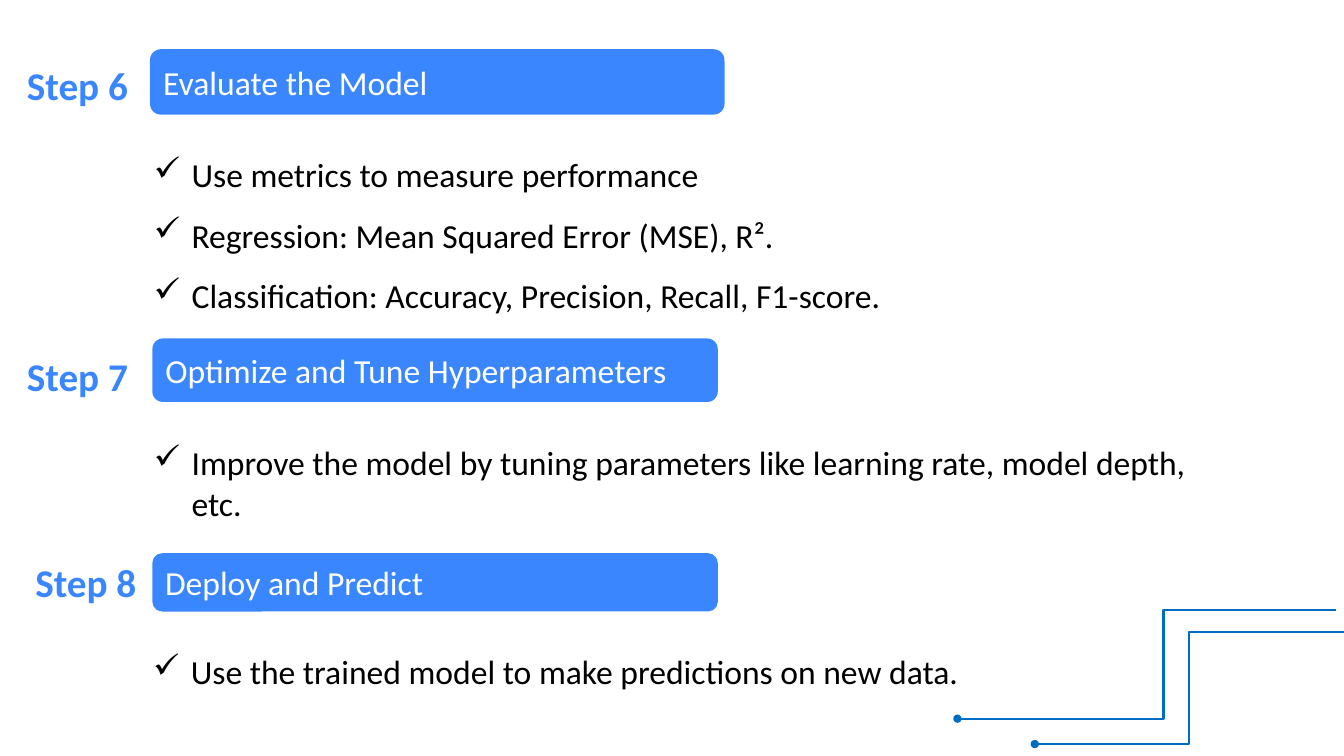
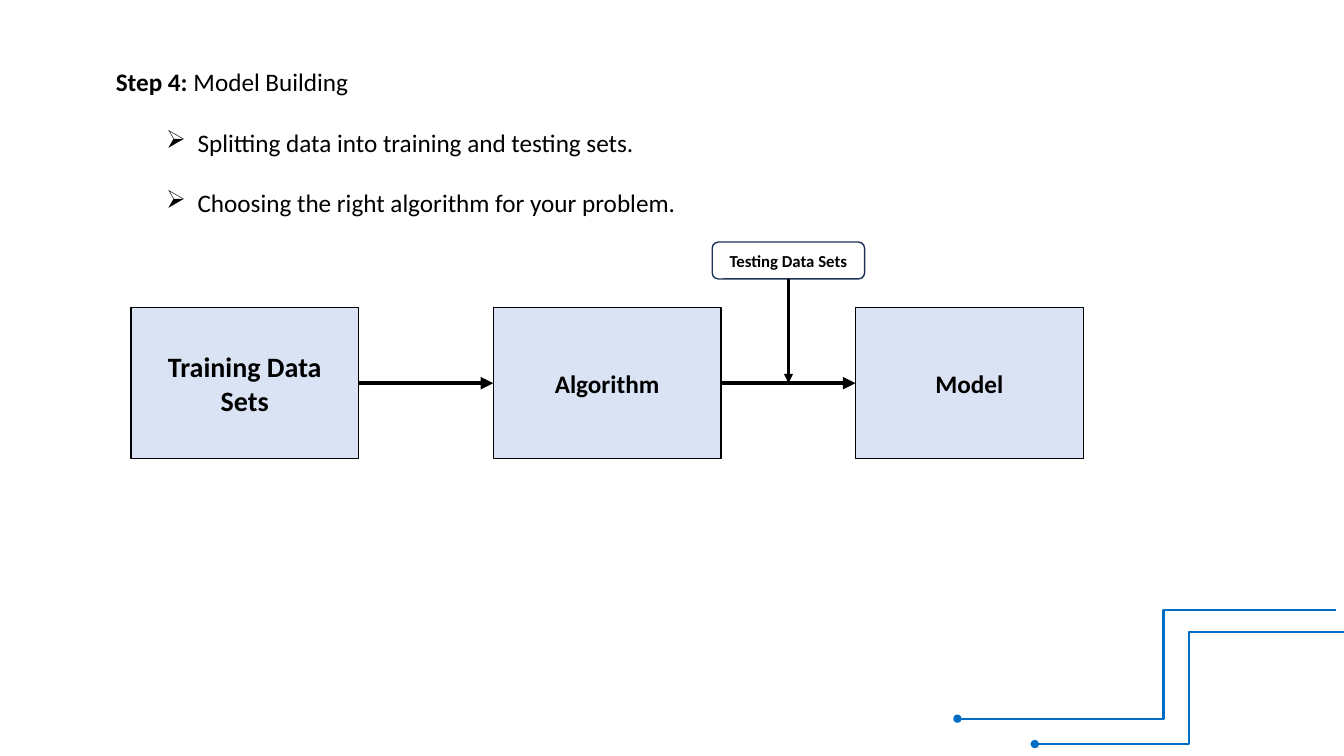
"""Build two slides on the steps of a machine learning project."""
from dataclasses import dataclass

from lxml.etree import SubElement as Sub
from pptx import Presentation
from pptx.dml.color import RGBColor as Rgb
from pptx.enum.shapes import MSO_CONNECTOR as Link, MSO_SHAPE as Kind
from pptx.enum.text import MSO_ANCHOR as Anchor, PP_ALIGN as Align
from pptx.oxml.ns import qn
from pptx.util import Cm, Pt


@dataclass(frozen=True)
class Theme:
    font: str = "Calibri"
    blue: Rgb = Rgb(0x3A, 0x86, 0xFF)
    rail: Rgb = Rgb(0x00, 0x6D, 0xC5)
    pale: Rgb = Rgb(0xDA, 0xE3, 0xF3)
    navy: Rgb = Rgb(0x1E, 0x32, 0x56)
    black: Rgb = Rgb(0, 0, 0)
    white: Rgb = Rgb(255, 255, 255)
    label: int = 28
    body: int = 24
    large: int = 20
    text: int = 18
    small: int = 12


theme = Theme()


def write(para, text, size, color=theme.black, bold=False, mark=None,
          left=0.95, hang=0.95, gap=None):
    para.add_run().text = text
    if gap:
        para.line_spacing = gap
    if mark:
        props = para._p.get_or_add_pPr()
        props.set("marL", str(Cm(left)))
        props.set("indent", str(-Cm(hang)))
        Sub(props, qn("a:buChar"), char=mark)
    font = para.font
    font.name, font.size, font.bold = theme.font, Pt(size), bold
    font.color.rgb = color


def draw(line, color, width, tip):
    line.line.color.rgb = color
    line.line.width = Pt(width)
    props = line.element.spPr
    Sub(props.find(qn("a:ln")), qn("a:tailEnd"), type=tip)
    Sub(props, qn("a:effectLst"))


deck = Presentation()
deck.slide_width, deck.slide_height = Cm(33.87), Cm(19.05)
blank = deck.slide_layouts[6]
steps = deck.slides.add_slide(blank)
build = deck.slides.add_slide(blank)

rails = [((33.66, 15.37, 24.13, 18.11), 45500),
         ((33.87, 15.93, 26.08, 18.75), 50000)]
for num, (ends, bend) in enumerate(rails):
    rail = steps.shapes.add_connector(Link.ELBOW, *map(Cm, ends))
    draw(rail, theme.rail, 1.5, "oval")
    shape = rail.element.spPr.find(qn("a:prstGeom"))
    Sub(shape.find(qn("a:avLst")), qn("a:gd"), name="adj1", fmla=f"val {bend}")
    rail.element.nvCxnSpPr.cNvPr.set("id", str(20 + num))
    blank.shapes.element.append(rail.element)

plan = [
    ("Step 6", (0.43, 1.42), "Evaluate the Model", (3.78, 1.24, 14.48, 1.65),
     (3.63, 3.25, 22.78, 4.72), 1.5,
     ["Use metrics to measure performance",
      "Regression: Mean Squared Error (MSE), R².",
      "Classification: Accuracy, Precision, Recall, F1-score."]),
    ("Step 7", (0.43, 8.76), "Optimize and Tune Hyperparameters",
     (3.84, 8.53, 14.25, 1.6), (3.63, 11.02, 27.33, 2.31), None,
     ["Improve the model by tuning parameters like learning rate, "
      "model depth, etc."]),
    ("Step 8", (0.64, 13.94), "Deploy and Predict",
     (3.84, 13.94, 14.25, 1.47), (3.61, 16.28, 23.52, 1.27), None,
     ["Use the trained model to make predictions on new data."]),
]
for name, spot, head, area, room, gap, points in plan:
    bar = steps.shapes.add_shape(Kind.ROUNDED_RECTANGLE, *map(Cm, area))
    bar.shadow.inherit = False
    bar.fill.solid()
    bar.fill.fore_color.rgb = theme.blue
    bar.line.fill.background()
    bar.text_frame.vertical_anchor = Anchor.MIDDLE
    first = bar.text_frame.paragraphs[0]
    first.alignment = Align.LEFT
    write(first, head, theme.body, theme.white)

    label = steps.shapes.add_textbox(*map(Cm, (*spot, 3.61, 1.45)))
    label.text_frame.word_wrap = True
    write(label.text_frame.paragraphs[0], name, theme.label, theme.blue, True)

    frame = steps.shapes.add_textbox(*map(Cm, room)).text_frame
    frame.word_wrap = True
    for num, point in enumerate(points):
        para = frame.add_paragraph() if num else frame.paragraphs[0]
        write(para, point, theme.body, mark="✓", gap=gap)

frame = build.shapes.add_textbox(Cm(2.67), Cm(0.79), Cm(26.39), Cm(4.65)).text_frame
frame.word_wrap = True
first = frame.paragraphs[0]
lead = first.add_run()
lead.text, lead.font.bold = "Step 4: ", True
write(first, "Model Building", theme.text, gap=2)
for point in ["Splitting data into training and testing sets.",
              "Choosing the right algorithm for your problem."]:
    para = frame.add_paragraph()
    para.level = 1
    write(para, point, theme.text, mark="➢", left=2.06, hang=0.79, gap=2)

top, tall = 7.75, 3.81
nodes = [(Kind.RECTANGLE, (3.3 + 9.13 * num, top, 5.74, tall), text, size,
          theme.pale, theme.black)
         for num, (text, size) in enumerate([("Training Data Sets", theme.large),
                                             ("Algorithm", theme.text),
                                             ("Model", theme.text)])]
nodes.append((Kind.ROUNDED_RECTANGLE, (17.95, 6.1, 3.84, 0.93),
              "Testing Data Sets", theme.small, None, theme.navy))
boxes = []
for kind, area, text, size, fill, edge in nodes:
    box = build.shapes.add_shape(kind, *map(Cm, area))
    box.shadow.inherit = False
    if fill:
        box.fill.solid()
        box.fill.fore_color.rgb = fill
    else:
        box.fill.background()
    box.line.color.rgb = edge
    box.line.width = Pt(1)
    box.text_frame.vertical_anchor = Anchor.MIDDLE
    para = box.text_frame.paragraphs[0]
    para.alignment = Align.CENTER
    write(para, text, size, bold=True)
    boxes.append(box)

*chain, test = boxes
for start, end in zip(chain, chain[1:]):
    arrow = build.shapes.add_connector(Link.STRAIGHT, 0, 0, 0, 0)
    arrow.begin_connect(start, 3)
    arrow.end_connect(end, 1)
    draw(arrow, theme.black, 3, "triangle")

mid = test.left + test.width // 2
drop = build.shapes.add_connector(Link.STRAIGHT, mid, test.top + test.height,
                                  mid, Cm(top + tall / 2))
drop.begin_connect(test, 2)
draw(drop, theme.black, 2.25, "triangle")

deck.save("out.pptx")
